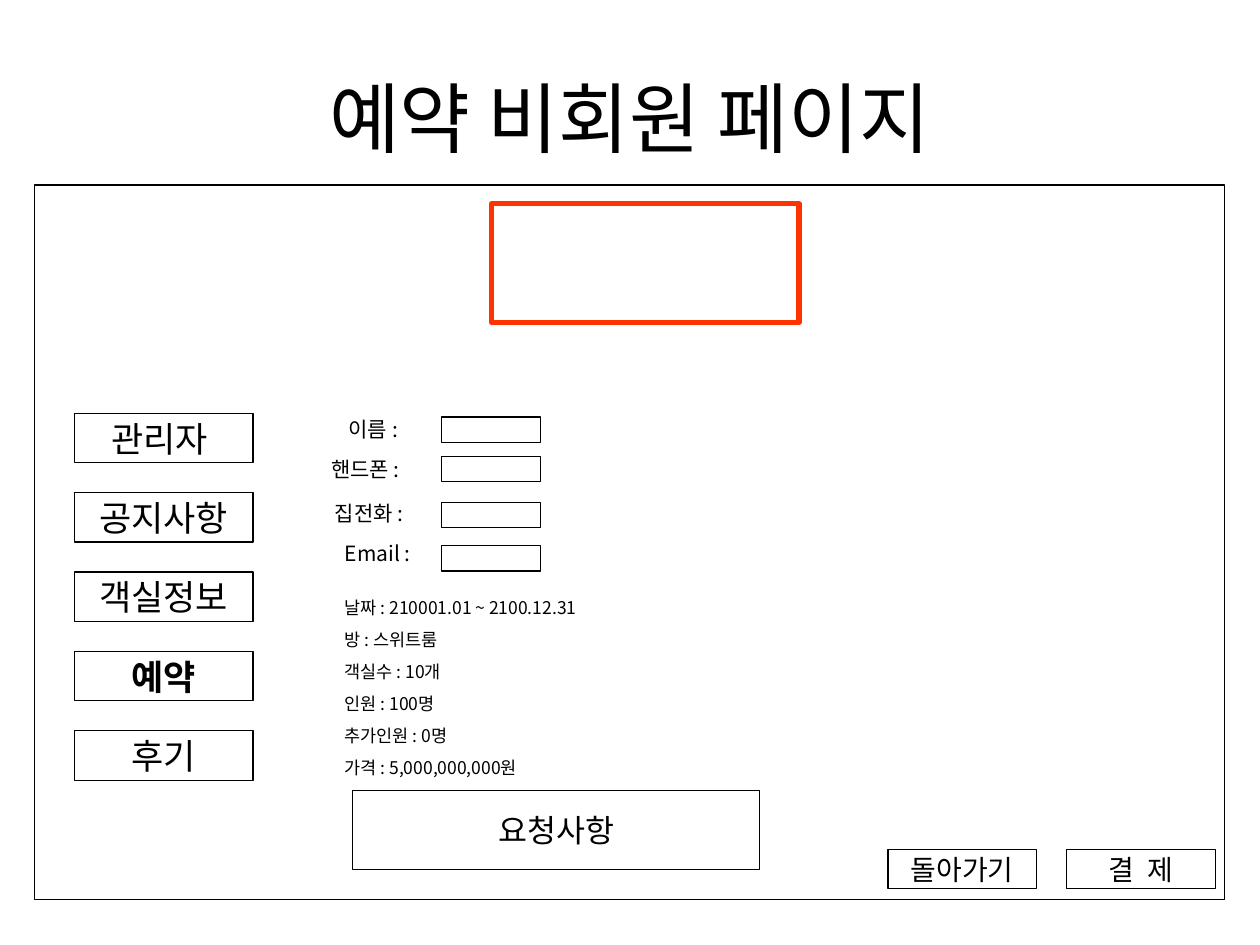
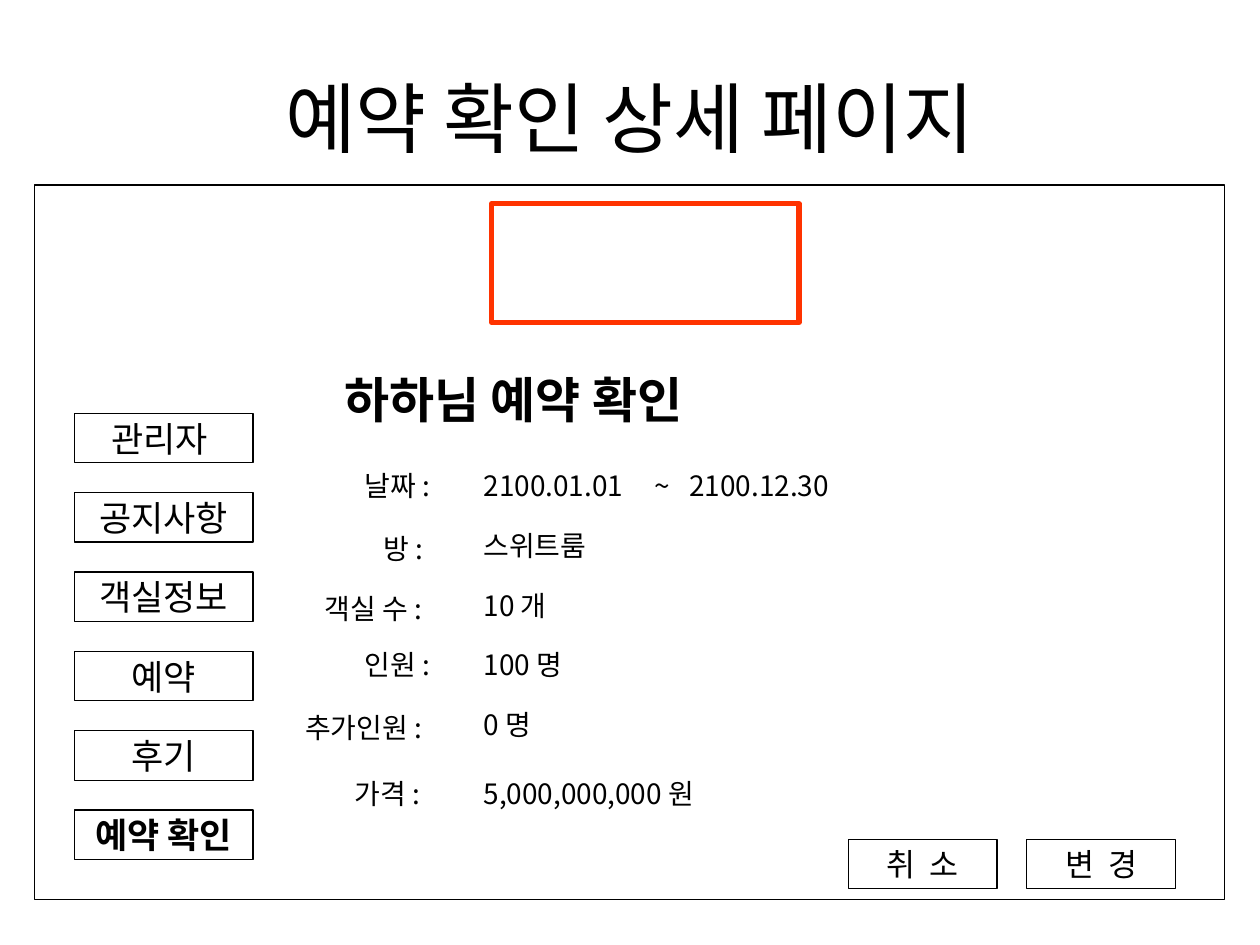
from lxml import etree
from pptx import Presentation
from pptx.dml.color import RGBColor
from pptx.enum import shapes, text
from pptx.oxml import ns
from pptx.util import Cm, Pt

FONT = "Noto Sans CJK KR"
BLACK, RED = "000000", "FF3300"
LEFT, CENTER = text.PP_ALIGN.LEFT, text.PP_ALIGN.CENTER

prs = Presentation()
prs.slide_width, prs.slide_height = Cm(25.4), Cm(19.05)


def write(shape, content, size=16, color=BLACK, bold=False, align=LEFT,
          anchor=text.MSO_ANCHOR.TOP, wrap=True, gap=0):
    """Fill a shape with text, one paragraph a line, gap points between them."""
    frame = shape.text_frame
    frame.word_wrap = wrap
    frame.vertical_anchor = anchor
    frame.auto_size = text.MSO_AUTO_SIZE.NONE
    for i, line in enumerate(content.split("\n")):
        paragraph = frame.add_paragraph() if i else frame.paragraphs[0]
        paragraph.alignment = align
        if i and gap:
            paragraph.space_before = Pt(gap)
        run = paragraph.add_run()
        run.text = line
        run.font.size, run.font.bold, run.font.name = Pt(size), bold, FONT
        run.font.color.rgb = RGBColor.from_string(color)
        etree.SubElement(run._r.get_or_add_rPr(), ns.qn("a:ea"), typeface=FONT)


def outline(slide, box, content="", color=BLACK, width=0.75, **style):
    """Draw an unfilled rectangle, with centred text if there is any."""
    shape = slide.shapes.add_shape(shapes.MSO_SHAPE.RECTANGLE, *map(Cm, box))
    shape.shadow.inherit = False
    shape.fill.background()
    shape.line.color.rgb = RGBColor.from_string(color)
    shape.line.width = Pt(width)
    if content:
        write(shape, content, align=CENTER, anchor=text.MSO_ANCHOR.MIDDLE,
              wrap=False, **style)


# Parts that both pages share
menu = ["관리자 ", "공지사항", "객실정보", "예약", "후기"]
pages = [
    ("예약 비회원 페이지", menu, "예약"),
    ("예약 확인 상세 페이지", menu + ["예약 확인"], "예약 확인"),
]
slides = []
for title, entries, current in pages:
    slide = prs.slides.add_slide(prs.slide_layouts[5])
    heading = slide.shapes.title
    heading.left, heading.top, heading.width, heading.height = map(
        Cm, (1.27, 0.76, 22.86, 3.18))
    write(heading, title, size=44, align=CENTER, anchor=text.MSO_ANCHOR.MIDDLE)
    outline(slide, (0.69, 3.73, 24, 14.4))
    outline(slide, (9.91, 4.11, 6.2, 2.39), color=RED, width=3)
    for row, entry in enumerate(entries):
        outline(slide, (1.5, 8.33 + 1.6 * row, 3.6, 1), entry, size=20,
                bold=entry == current)
    slides.append(slide)
guest, details = slides

# Guest booking: entry fields, summary, request box
fields = [
    ("이름 :", 6.78, 8.28, 8.41),
    ("핸드폰 :", 6.43, 9.07, 9.2),
    ("집전화 :", 6.5, 9.96, 10.13),
    ("Email :", 6.7, 10.77, 11),
]
for label, left, top, field_top in fields:
    write(guest.shapes.add_textbox(Cm(left), Cm(top), Cm(2.4), Cm(0.76)), label, size=12)
    outline(guest, (8.9, field_top, 2, 0.51))
summary = guest.shapes.add_textbox(*map(Cm, (6.7, 11.92, 7.21, 3.91)))
write(summary, "날짜 : 210001.01 ~ 2100.12.31\n방 : 스위트룸\n객실수 : 10개\n"
      "인원 : 100명\n추가인원 : 0명\n가격 : 5,000,000,000원", size=10, gap=6.25)
outline(guest, (7.11, 15.93, 8.2, 1.6), "요청사항", size=18)

# Booking details: heading, labels and values
booker = details.shapes.add_textbox(*map(Cm, (6.7, 7.32, 9, 1.45)))
write(booker, "하하님 예약 확인", size=28, bold=True)
rows = [
    ("날짜 :", 7.1, 9.33, "2100.01.01", 9.33),
    ("방 :", 7.49, 10.59, "스위트룸", 10.53),
    ("객실 수 :", 6.3, 11.8, "10 개", 11.73),
    ("인원 :", 7.1, 12.93, "100 명", 12.93),
    ("추가인원 :", 5.9, 14.2, "0 명", 14.13),
    ("가격 :", 6.9, 15.52, "5,000,000,000 원", 15.52),
]
for label, left, top, value, value_top in rows:
    write(details.shapes.add_textbox(Cm(left), Cm(top), Cm(3.4), Cm(0.94)), label)
    write(details.shapes.add_textbox(Cm(9.5), Cm(value_top), Cm(5.41), Cm(0.94)), value)
end_date = details.shapes.add_textbox(*map(Cm, (12.95, 9.33, 5, 0.94)))
write(end_date, "~\t2100.12.30")
properties = end_date.text_frame.paragraphs[0]._p.get_or_add_pPr()
tabs = etree.SubElement(properties, ns.qn("a:tabLst"))
etree.SubElement(tabs, ns.qn("a:tab"), pos=str(Cm(0.7)), algn="l")

# Buttons at the lower right
buttons = [
    (guest, ["돌아가기", "결  제"], 17.9, 17.12, 0.8, 16),
    (details, ["취  소", "변  경"], 17.1, 16.92, 1, 18),
]
for slide, captions, left, top, height, size in buttons:
    for column, caption in enumerate(captions):
        outline(slide, (left + 3.6 * column, top, 3, height), caption, size=size)

prs.save("out.pptx")
